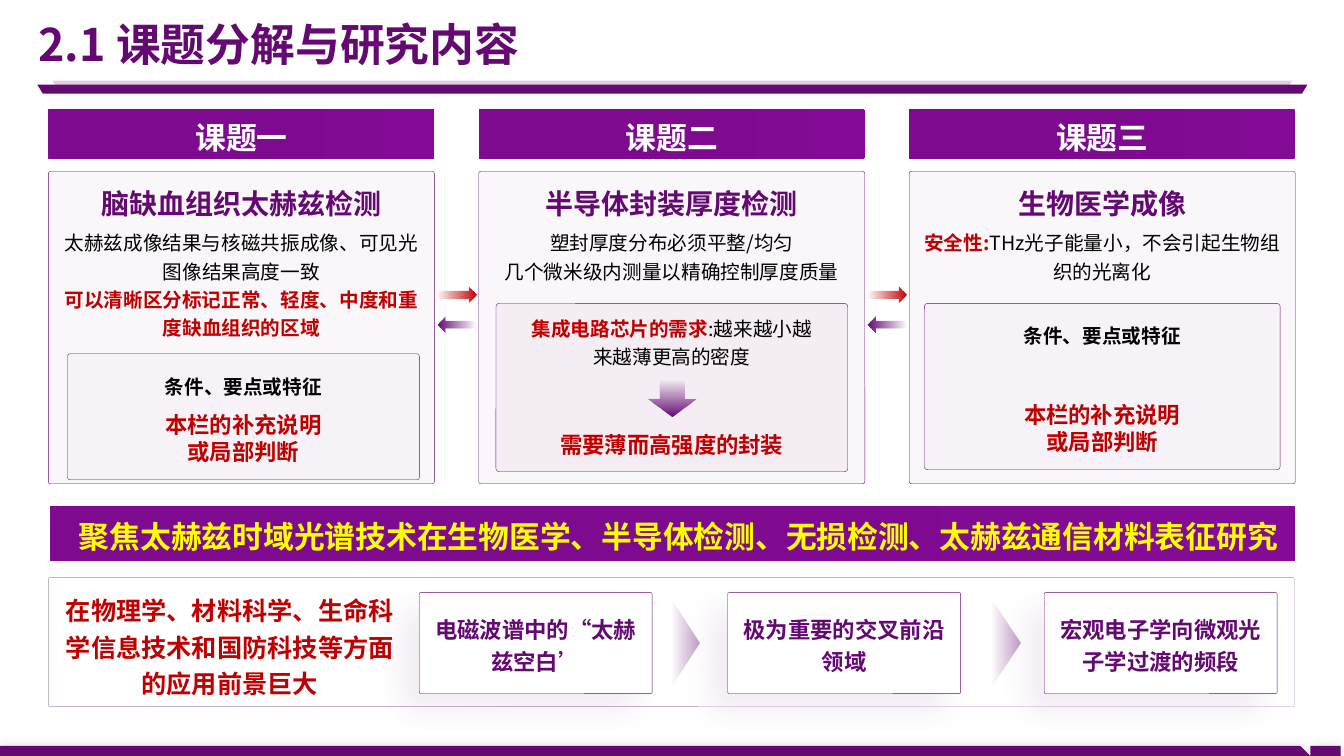
from collections import namedtuple

from lxml import etree
from pptx import Presentation, util as u
from pptx.dml.color import RGBColor
from pptx.enum import shapes, text
from pptx.oxml.ns import qn

COLUMNS, ROWS = 133.33, 75
CELL = u.Inches(0.1)
FONT = "Noto Sans CJK SC"
COLOURS = {
    "purple": "640872", "bright": "840B96", "deep": "7D0A8F", "red": "C00000",
    "pale": "F6F2F7", "yellow": "FFFF00", "white": "FFFFFF", "black": "000000",
}
BAND = ([(0, "bright", 100), (57, "deep", 100)], 180)
KINDS = shapes.MSO_SHAPE
MIDDLE = text.MSO_ANCHOR.MIDDLE
TIGHT = (0.6, 0.3)


class Box(namedtuple("Box", "left top width height")):
    def inner(self, left, top, width, height):
        return Box(self.left + left, self.top + top, width, height)

    def centred(self, top, width, height):
        return self.inner((self.width - width) / 2, top, width, height)

    def lengths(self):
        return [round(side * CELL) for side in self]


def add_colour(parent, colour, alpha):
    node = etree.SubElement(parent, qn("a:srgbClr"), val=COLOURS[colour])
    if alpha < 100:
        etree.SubElement(node, qn("a:alpha"), val=str(alpha * 1000))


def paint(shape, fill, alpha):
    shape.fill.background()
    blank = shape._element.spPr.find(qn("a:noFill"))
    if fill is None:
        return
    if isinstance(fill, str):
        node = etree.Element(qn("a:solidFill"))
        add_colour(node, fill, alpha)
    else:
        stops, angle = fill
        node = etree.Element(qn("a:gradFill"), rotWithShape="1")
        stop_list = etree.SubElement(node, qn("a:gsLst"))
        for place, colour, opacity in stops:
            stop = etree.SubElement(stop_list, qn("a:gs"), pos=str(place * 1000))
            add_colour(stop, colour, opacity)
        etree.SubElement(node, qn("a:lin"), ang=str(angle * 60000), scaled="0")
    blank.getparent().replace(blank, node)


def cast_shadow(shape, colour, alpha, blur, distance, angle):
    effects = shape._element.spPr.find(qn("a:effectLst"))
    shadow = etree.SubElement(
        effects, qn("a:outerShdw"), blurRad=str(int(u.Pt(blur))),
        dist=str(int(u.Pt(distance))), dir=str(angle * 60000), rotWithShape="0")
    add_colour(shadow, colour, alpha)


def finish(shape, fill=None, alpha=100, line=False, line_alpha=100):
    shape.shadow.inherit = False
    paint(shape, fill, alpha)
    if not line:
        shape.line.fill.background()
        return
    shape.line.width = u.Pt(0.25)
    shape.line.color.rgb = RGBColor.from_string(COLOURS["purple"])
    if line_alpha < 100:
        outline = shape._element.spPr.find(qn("a:ln"))
        colour = outline.find(".//" + qn("a:srgbClr"))
        etree.SubElement(colour, qn("a:alpha"), val=str(line_alpha * 1000))


def draw(page, kind, box, adjust=None, turn=0, **look):
    shape = page.shapes.add_shape(kind, *box.lengths())
    if adjust is not None:
        shape.adjustments[0] = adjust
    shape.rotation = turn
    finish(shape, **look)
    return shape


def write(page, box, *paras, size, colour="purple", bold=True, spacing=1.2,
          align=text.PP_ALIGN.CENTER, anchor=text.MSO_ANCHOR.TOP,
          inset=(1, 0.5), wrap=True, grow=True):
    frame = page.shapes.add_textbox(*box.lengths()).text_frame
    frame.word_wrap = wrap
    frame.auto_size = (text.MSO_AUTO_SIZE.SHAPE_TO_FIT_TEXT if grow
                       else text.MSO_AUTO_SIZE.NONE)
    frame.vertical_anchor = anchor
    frame.margin_left = frame.margin_right = round(inset[0] * CELL)
    frame.margin_top = frame.margin_bottom = round(inset[1] * CELL)
    for index, content in enumerate(paras):
        para = frame.add_paragraph() if index else frame.paragraphs[0]
        para.alignment = align
        para.line_spacing = spacing
        spans = [(content, colour, bold)] if isinstance(content, str) else content
        for words, span_colour, span_bold in spans:
            span = para.add_run()
            span.text = words
            span.font.name = FONT
            span.font.size = u.Pt(size)
            span.font.bold = span_bold
            span.font.color.rgb = RGBColor.from_string(COLOURS[span_colour])
            etree.SubElement(span._r.get_or_add_rPr(), qn("a:ea"), typeface=FONT)


def fade(colour):
    return [(0, colour, 0), (100, colour, 100)], 90


def title_bar(page, box):
    draw(page, KINDS.TRAPEZOID, box.inner(1.5, 7, 123, 0.9), 0.611, 180,
         fill="purple", alpha=20)
    draw(page, KINDS.TRAPEZOID, box.inner(0, 7.4, 126, 0.9), 0.611, 180, fill="purple")
    write(page, box.inner(0.1, 0, 125.8, 6.7), "2.1 课题分解与研究内容", size=32,
          spacing=1, align=text.PP_ALIGN.LEFT, anchor=MIDDLE, inset=(0, 0),
          wrap=False, grow=False)


def topic_column(page, box, label, heading, paras):
    draw(page, KINDS.ROUNDED_RECTANGLE, box.inner(0, 0, box.width, 5), 0.03, fill=BAND)
    write(page, box.centred(0, 24.9, 5), label, size=22, colour="white",
          spacing=1.1, inset=(1.1, 0.6))
    draw(page, KINDS.ROUNDED_RECTANGLE, box.inner(0, 6.2, box.width, 31), 0.007,
         fill="purple", alpha=3, line=True)
    write(page, box.centred(6.5, 31.4, 4.8), heading, size=20)
    write(page, box.inner(0, 11.2, box.width, 6.4), *paras, size=14)


def note_panel(page, box):
    draw(page, KINDS.ROUNDED_RECTANGLE, box, 0.02, fill="pale", line=True)
    write(page, box.centred(1, box.width - 1.6, 4), "条件、要点或特征", size=14,
          colour="black", anchor=MIDDLE, inset=TIGHT, grow=False)
    write(page, box.centred(box.height - 6.8, box.width - 2, 5.4),
          "本栏的补充说明", "或局部判断", size=16, colour="red", spacing=1,
          anchor=MIDDLE, inset=TIGHT, grow=False)


def chip_panel(page, box):
    draw(page, KINDS.ROUNDED_RECTANGLE, box, 0.02, fill="purple", alpha=4, line=True)
    draw(page, KINDS.DOWN_ARROW, box.centred(7.7, 4.9, 3.5), fill=fade("purple"))
    write(page, box.centred(0.4, 31.7, 6.4),
          [("集成电路芯片的需求", "red", True),
           (":越来越小越来越薄更高的密度", "black", False)], size=14)
    write(page, box.centred(12.2, 27.1, 3.7), "需要薄而高强度的封装", size=16,
          colour="red", spacing=1)


def exchange_arrows(page, box):
    draw(page, KINDS.DOWN_ARROW, box.inner(0, 0, 1.6, 3.9), turn=270, fill=fade("red"))
    draw(page, KINDS.DOWN_ARROW, box.inner(0, 3, 1.6, 3.8), turn=90, fill=fade("purple"))


def focus_banner(page, box):
    draw(page, KINDS.RECTANGLE, box, fill=BAND)
    write(page, box.inner(-0.2, 0.3, 125, 4.9),
          "聚焦太赫兹时域光谱技术在生物医学、半导体检测、无损检测、太赫兹通信材料表征研究",
          size=22, colour="yellow", spacing=1.1)


def outlook_strip(page, box):
    draw(page, KINDS.ROUNDED_RECTANGLE, box, 0.012, line=True, line_alpha=50)
    write(page, box.inner(0.2, 0.7, 35.6, 11.7),
          "在物理学、材料科学、生命科学信息技术和国防科技等方面的应用前景巨大",
          size=18, colour="red")
    steps = [(36.8, "电磁波谱中的“太赫兹空白’"), (67.4, "极为重要的交叉前沿领域"),
             (98.8, "宏观电子学向微观光子学过渡的频段")]
    for left, words in steps:
        card = box.inner(left, 1.5, 23.1, 10)
        shape = draw(page, KINDS.ROUNDED_RECTANGLE, card, 0.012, fill="white", line=True)
        cast_shadow(shape, "purple", 8, 21, 17, 135)
        write(page, card.centred(1.3, 23.5, 7.2), words, size=16)
    for left in (58, 89.8):
        draw(page, KINDS.ISOSCELES_TRIANGLE, box.inner(left, 4.9, 10, 3.2), turn=90,
             fill=([(0, "purple", 40), (87, "purple", 0)], 90))


def footer_strip(page, box):
    right, bottom = box.left + box.width, box.top + box.height
    outline = page.shapes.build_freeform(box.left, box.top, scale=CELL)
    outline.add_line_segments([
        (129, box.top), (129.7, box.top + 0.4), (130.4, box.top),
        (right, box.top), (right, bottom), (box.left, bottom)], close=True)
    shape = outline.convert_to_shape()
    finish(shape, fill="purple")
    cast_shadow(shape, "black", 14, 7.7, 0, 0)


def main():
    deck = Presentation()
    deck.slide_width = round(COLUMNS * CELL)
    deck.slide_height = ROWS * CELL
    page = deck.slides.add_slide(deck.slide_layouts[6])
    topics = [
        ("课题一", "脑缺血组织太赫兹检测",
         [[("太赫兹成像结果与核磁共振成像、可见光图像结果高度一致", "black", False)],
          [("可以清晰区分标记正常、轻度、中度和重度缺血组织的区域", "red", True)]],
         note_panel, (1.9, 24.3, 34.9, 12.5)),
        ("课题二", "半导体封装厚度检测",
         [[("塑封厚度分布必须平整/均匀", "black", False)],
          [("几个微米级内测量以精确控制厚度质量", "black", False)]],
         chip_panel, (1.7, 19.3, 34.9, 16.7)),
        ("课题三", "生物医学成像",
         [[("安全性:", "red", True),
           ("THz光子能量小，不会引起生物组织的光离化", "black", False)]],
         note_panel, (1.5, 19.3, 35.3, 16.5)),
    ]
    focus_banner(page, Box(5, 50.2, 123.5, 5.5))
    outlook_strip(page, Box(4.8, 57.3, 123.6, 12.8))
    for index, (label, heading, paras, panel, place) in enumerate(topics):
        column = Box(4.8 + 42.7 * index, 10.8, 38.3, 37.2)
        topic_column(page, column, label, heading, paras)
        panel(page, column.inner(*place))
        if index < len(topics) - 1:
            exchange_arrows(page, column.inner(39.7, 16.5, 1.6, 6.8))
    title_bar(page, Box(3.7, 1, 126, 8.3))
    footer_strip(page, Box(0, 74.3, COLUMNS, 0.7))
    deck.save("out.pptx")


if __name__ == "__main__":
    main()
